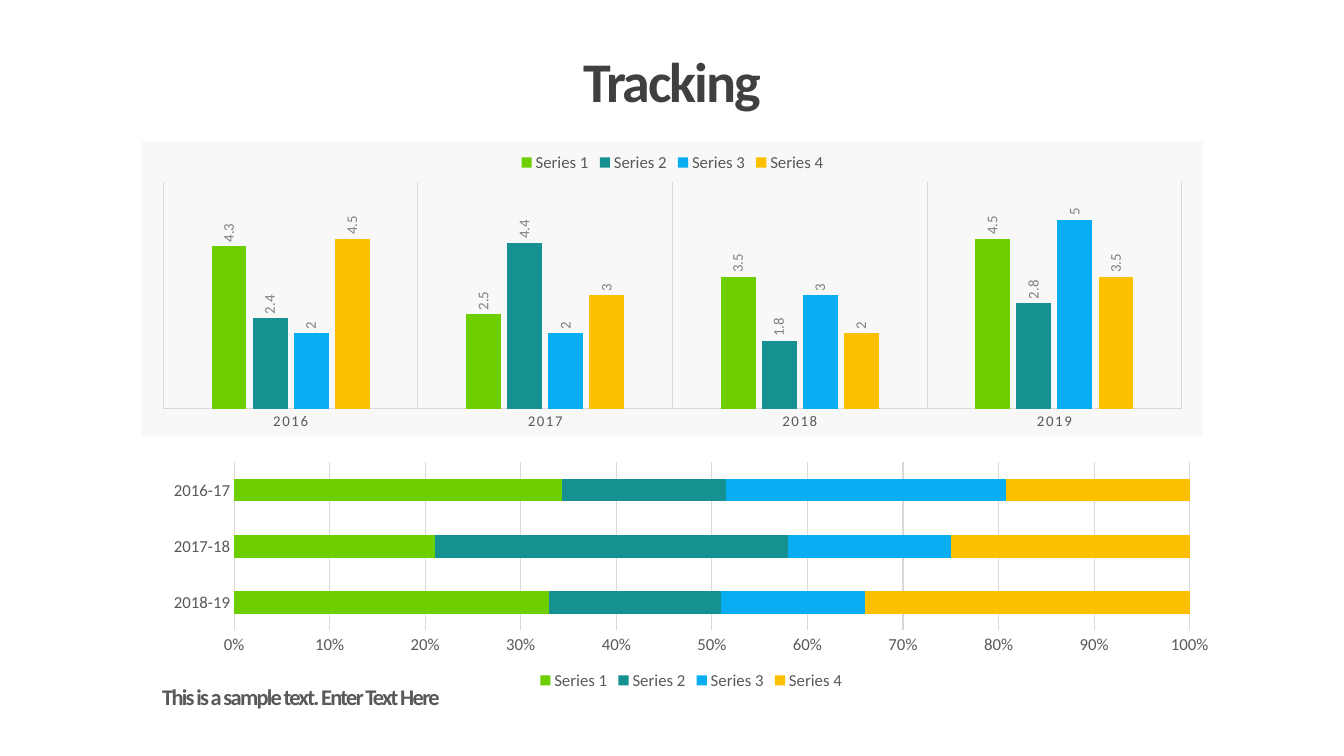
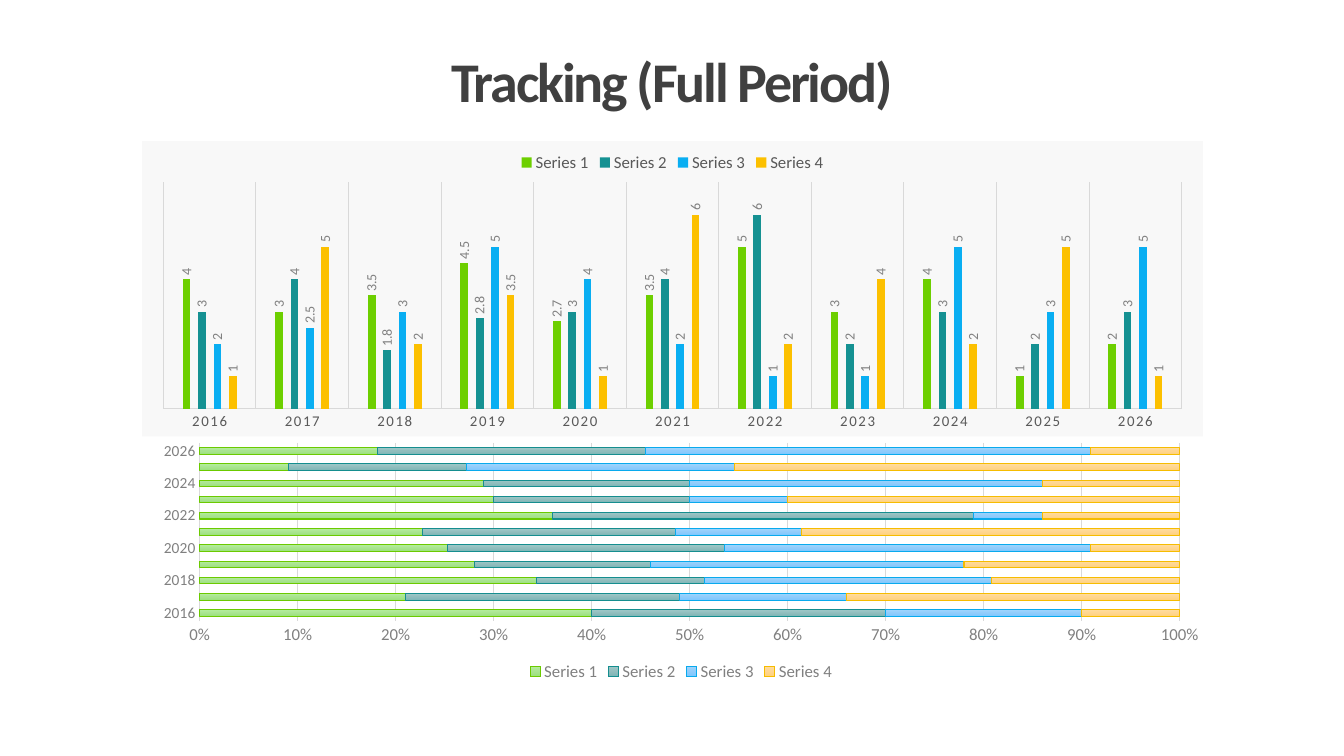
from copy import deepcopy

from pptx import Presentation
from pptx import util as u
from pptx.chart.data import CategoryChartData
from pptx.dml.color import RGBColor
from pptx.enum import chart as ch, text
from pptx.oxml import parse_xml
from pptx.oxml.ns import nsdecls

# Shared look
WIDTH, HEIGHT = u.Inches(13.33), u.Inches(7.5)
FONT = "Calibri"
TITLE_INK = RGBColor(0x40, 0x40, 0x40)
DARK_GREY = RGBColor(0x59, 0x59, 0x59)
MID_GREY = RGBColor(0x80, 0x80, 0x80)
RULE_GREY = RGBColor(0xD9, 0xD9, 0xD9)
BLACK = RGBColor(0, 0, 0)
PANEL = "F2F2F2"

SOLID = [RGBColor.from_string(c) for c in ("6DCF00", "159192", "09AEF2", "FCC000")]
OUTLINES = [RGBColor.from_string(c) for c in ("6BCA00", "158E8F", "09AAED", "F6BC00")]
GRADIENTS = [[RGBColor.from_string(c) for c in stops] for stops in (
    ("B4ED9D", "A9E490", "9BE17C"), ("9EC8C8", "91BDBD", "7CB6B7"),
    ("9ED4FD", "91CCFB", "7CC7FF"), ("FFDC9E", "FFD690", "FFD17C"))]

# Areas as left, top, width, height in percent of the slide
TITLE_AREA = (23.86, 5.47, 52.29, 10.27)
COLUMNS_AREA = (10.58, 18.67, 78.92, 39.07)
SHARES_AREA = (11.33, 60.53, 80.2, 31.33)
FULL_SHARES_AREA = (10.58, 57.73, 80.2, 32.93)
CAPTION_AREA = (11.33, 89.73, 26.48, 4.93)

# Content: one list of values per series
YEARS = [str(year) for year in range(2016, 2027)]
YEAR_VALUES = [[4.3, 2.5, 3.5, 4.5], [2.4, 4.4, 1.8, 2.8],
               [2, 2, 3, 5], [4.5, 3, 2, 3.5]]
PERIODS = ["2018-19", "2017-18", "2016-17"]
PERIOD_SHARES = [[33, 21, 34], [18, 37, 17], [15, 17, 29], [34, 25, 19]]
FULL_VALUES = [[4, 3, 3.5, 4.5, 2.7, 3.5, 5, 3, 4, 1, 2],
               [3, 4, 1.8, 2.8, 3, 4, 6, 2, 3, 2, 3],
               [2, 2.5, 3, 5, 4, 2, 1, 1, 5, 3, 5],
               [1, 5, 2, 3.5, 1, 6, 2, 4, 2, 5, 1]]
FULL_SHARES = [[40, 21, 34, 28, 25, 23, 36, 30, 29, 9, 18],
               [30, 28, 17, 18, 28, 26, 43, 20, 21, 18, 27],
               [20, 17, 29, 32, 37, 13, 7, 10, 36, 27, 45],
               [10, 34, 19, 22, 9, 39, 14, 40, 14, 45, 9]]


def area(percent):
    """Turn percentages of the slide into lengths."""
    return [int(side * share / 100)
            for side, share in zip((WIDTH, HEIGHT) * 2, percent)]


def style(font, size, color):
    font.name, font.size, font.color.rgb = FONT, u.Pt(size), color


def write(frame, words, size, color, spacing, align):
    paragraph = frame.paragraphs[0]
    paragraph.alignment = align
    run = paragraph.add_run()
    run.text = words
    style(run.font, size, color)
    run.font.bold = True
    run._r.get_or_add_rPr().set("spc", str(spacing))


def add_titled_slide(deck, words):
    slide = deck.slides.add_slide(deck.slide_layouts[5])
    title = slide.shapes.title
    title.left, title.top, title.width, title.height = area(TITLE_AREA)
    title.text_frame.vertical_anchor = text.MSO_ANCHOR.MIDDLE
    write(title.text_frame, words, 40, TITLE_INK, -150, text.PP_ALIGN.CENTER)
    return slide


def add_caption(slide, words):
    frame = slide.shapes.add_textbox(*area(CAPTION_AREA)).text_frame
    frame.word_wrap = True
    write(frame, words, 16, DARK_GREY, -120, text.PP_ALIGN.LEFT)


def paint_background(chart, fill):
    """Fill the chart area and leave the plot area clear."""
    def properties(paint):
        return parse_xml(f'<c:spPr {nsdecls("c", "a")}>{paint}'
                         '<a:ln><a:noFill/></a:ln></c:spPr>')
    space = chart._chartSpace
    space.xpath("c:txPr")[0].addprevious(properties(fill))
    space.xpath("c:chart/c:plotArea")[0].append(properties("<a:noFill/>"))


def rule(line):
    line.color.rgb, line.width = RULE_GREY, u.Pt(0.75)


def style_axis(axis, size, ink, gridlines):
    axis.major_tick_mark = axis.minor_tick_mark = ch.XL_TICK_MARK.NONE
    style(axis.tick_labels.font, size, ink)
    axis.has_major_gridlines = gridlines
    if gridlines:
        rule(axis.major_gridlines.format.line)


def add_series_chart(slide, kind, place, categories, values, gap, overlap,
                     legend_side, ink, background):
    """Add a four-series chart with the shared font and legend."""
    data = CategoryChartData()
    data.categories = categories
    for number, numbers in enumerate(values, 1):
        data.add_series(f"Series {number}", numbers)
    chart = slide.shapes.add_chart(kind, *area(place), data).chart
    chart.has_title = False
    style(chart.font, 10, BLACK)
    chart.has_legend = True
    chart.legend.position = legend_side
    chart.legend.include_in_layout = False
    style(chart.legend.font, 12, ink)
    plot = chart.plots[0]
    plot.gap_width, plot.overlap, plot.vary_by_categories = gap, overlap, False
    rule(chart.category_axis.format.line)
    paint_background(chart, background)
    return chart


def paint_solid(series, color):
    series.format.fill.solid()
    series.format.fill.fore_color.rgb = color


def paint_gradient(series, colors, outline):
    fill = series.format.fill
    fill.gradient()
    fill.gradient_angle = 270
    first = fill.gradient_stops[0]._gs
    first.addnext(deepcopy(first))
    for stop, color, position in zip(fill.gradient_stops, colors, (0, 0.5, 1)):
        stop.color.rgb, stop.position = color, position
    series.format.line.color.rgb = outline
    series.format.line.width = u.Pt(0.75)


def add_columns(slide, years, values, gap, overlap, top_value, label_size):
    """Clustered columns on a grey panel, with upright value labels."""
    panel = (f'<a:solidFill><a:srgbClr val="{PANEL}"><a:alpha val="50000"/>'
             '</a:srgbClr></a:solidFill>')
    chart = add_series_chart(slide, ch.XL_CHART_TYPE.COLUMN_CLUSTERED, COLUMNS_AREA,
                             years, values, gap, overlap,
                             ch.XL_LEGEND_POSITION.TOP, DARK_GREY, panel)
    years_axis, scale = chart.category_axis, chart.value_axis
    style_axis(years_axis, 10.6, DARK_GREY, True)
    years_axis._element.xpath(".//a:defRPr")[0].set("spc", "120")
    scale.visible = scale.has_major_gridlines = False
    scale.minimum_scale, scale.maximum_scale = 0, top_value
    for series, color in zip(chart.plots[0].series, SOLID):
        paint_solid(series, color)
        labels = series.data_labels
        labels.show_value = True
        labels.position = ch.XL_LABEL_POSITION.OUTSIDE_END
        style(labels.font, label_size, MID_GREY)
        turned = labels._element.xpath(".//a:bodyPr")[0]
        turned.set("rot", "-5400000")
        turned.set("vert", "horz")


def add_shares(slide, place, periods, values, ink, label_size):
    """Bars stacked to 100%."""
    chart = add_series_chart(slide, ch.XL_CHART_TYPE.BAR_STACKED_100, place,
                             periods, values, 150, 100,
                             ch.XL_LEGEND_POSITION.BOTTOM, ink, "<a:noFill/>")
    style_axis(chart.category_axis, label_size, ink, False)
    scale = chart.value_axis
    style_axis(scale, 12, ink, True)
    scale.format.line.fill.background()
    scale.tick_labels.number_format = "0%"
    scale.tick_labels.number_format_is_linked = False
    return chart.plots[0].series


def main():
    deck = Presentation()
    deck.slide_width, deck.slide_height = WIDTH, HEIGHT

    # Four years
    tracking = add_titled_slide(deck, "Tracking")
    add_columns(tracking, YEARS[:4], YEAR_VALUES, 277, -18, 6, 10.6)
    shares = add_shares(tracking, SHARES_AREA, PERIODS, PERIOD_SHARES, DARK_GREY, 12)
    for series, color in zip(shares, SOLID):
        paint_solid(series, color)
    add_caption(tracking, "This is a sample text. Enter Text Here")

    # Full period
    full = add_titled_slide(deck, "Tracking (Full Period)")
    add_columns(full, YEARS, FULL_VALUES, 500, -100, 7, 10)
    shares = add_shares(full, FULL_SHARES_AREA, YEARS, FULL_SHARES, MID_GREY, 11)
    for series, colors, outline in zip(shares, GRADIENTS, OUTLINES):
        paint_gradient(series, colors, outline)

    deck.save("out.pptx")


if __name__ == "__main__":
    main()
